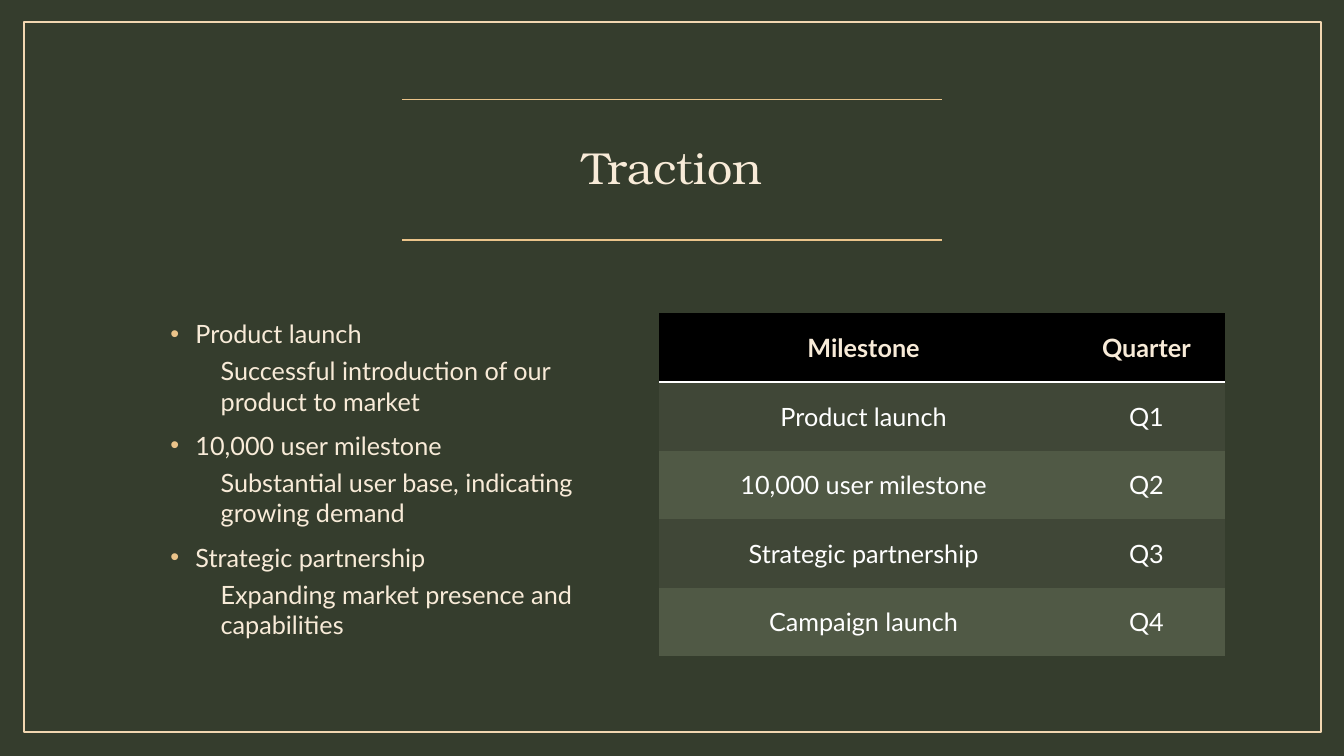
from lxml.etree import SubElement
from pptx import Presentation
from pptx.dml.color import RGBColor
from pptx.enum.shapes import MSO_CONNECTOR, MSO_SHAPE
from pptx.enum.text import MSO_ANCHOR, PP_ALIGN
from pptx.oxml import parse_xml
from pptx.oxml.ns import nsdecls, qn
from pptx.util import Inches, Pt

CREAM, GOLD, WHITE = "F8EBD8", "EBC48A", "FFFFFF"
NO_GRID = "{2D5ABB26-0587-4C30-8999-92F81FD0307C}"


def rgb(code):
    return RGBColor.from_string(code)


def style(par, size, color, name="Lato", bold=False):
    font = par.font
    font.size, font.name, font.bold = Pt(size), name, bold
    font.color.rgb = rgb(color)


deck = Presentation()
deck.slide_width, deck.slide_height = Inches(13.33), Inches(7.5)
slide = deck.slides.add_slide(deck.slide_layouts[6])
slide.background.fill.solid()
slide.background.fill.fore_color.rgb = rgb("353D2D")
shapes = slide.shapes

# Frame and title rules
frame = shapes.add_shape(MSO_SHAPE.RECTANGLE, Inches(0.24), Inches(0.22),
                         Inches(12.86), Inches(7.04))
frame.shadow.inherit = False
frame.fill.background()
frame.line.color.rgb = rgb("F2D7B1")
frame.line.width = Pt(1.5)

for y in (0.99, 2.38):
    rule = shapes.add_connector(MSO_CONNECTOR.STRAIGHT, Inches(3.99), Inches(y),
                                Inches(9.34), Inches(y))
    rule.line.color.rgb = rgb(GOLD)
    rule.line.width = Pt(1)
    SubElement(rule._element.spPr, qn("a:effectLst"))

# Title
title = shapes.add_textbox(Inches(1.62), Inches(0.99), Inches(10.09), Inches(1.39)).text_frame
title.word_wrap = True
title.vertical_anchor = MSO_ANCHOR.MIDDLE
par = title.paragraphs[0]
par.text = "Traction"
par.alignment = PP_ALIGN.CENTER
par.line_spacing = 0.9
style(par, 32, CREAM, "TeX Gyre Bonum")

# Bulleted points, each with a detail below
points = [
    ("Product launch", "Successful introduction of our product to market"),
    ("10,000 user milestone", "Substantial user base, indicating growing demand"),
    ("Strategic partnership", "Expanding market presence and capabilities"),
]
body = shapes.add_textbox(Inches(1.59), Inches(3.11), Inches(4.31), Inches(3.69)).text_frame
body.word_wrap = True
for i, point in enumerate(points):
    for level, text in enumerate(point):
        first = i == 0 and level == 0
        par = body.paragraphs[0] if first else body.add_paragraph()
        par.text = text
        par.level = level
        if not first:
            par.space_before = Pt(5 if level else 10)
        props = par._p.get_or_add_pPr()
        props.set("marL", str(Inches(0.5 if level else 0.25)))
        props.set("indent", str(Inches(0 if level else -0.25)))
        if level:
            SubElement(props, qn("a:buNone"))
        else:
            tint = SubElement(props, qn("a:buClr"))
            SubElement(tint, qn("a:srgbClr"), val=GOLD)
            SubElement(props, qn("a:buFont"), typeface="Arial")
            SubElement(props, qn("a:buChar"), char="•")
        style(par, 18, CREAM)

# Milestone table
rows = [
    ("Milestone", "Quarter"),
    ("Product launch", "Q1"),
    ("10,000 user milestone", "Q2"),
    ("Strategic partnership", "Q3"),
    ("Campaign launch", "Q4"),
]
table = shapes.add_table(len(rows), 2, Inches(6.54), Inches(3.11),
                         Inches(5.61), Inches(3.4)).table
table._tbl.tblPr.find(qn("a:tableStyleId")).text = NO_GRID
for col, width in zip(table.columns, (4.05, 1.56)):
    col.width = Inches(width)
for r, row in enumerate(rows):
    head = r == 0
    for c, text in enumerate(row):
        cell = table.cell(r, c)
        cell.text = text
        cell.vertical_anchor = MSO_ANCHOR.MIDDLE
        cell.fill.solid()
        cell.fill.fore_color.rgb = rgb("000000" if head else ("505945", "404737")[r % 2])
        par = cell.text_frame.paragraphs[0]
        par.alignment = PP_ALIGN.CENTER
        style(par, 18, CREAM if head else WHITE, bold=head)
        if head:
            edge = parse_xml(f'<a:lnB {nsdecls("a")} w="{Pt(2)}"><a:solidFill>'
                             f'<a:srgbClr val="{WHITE}"/></a:solidFill></a:lnB>')
            cell._tc.get_or_add_tcPr().insert(0, edge)

deck.save("out.pptx")
